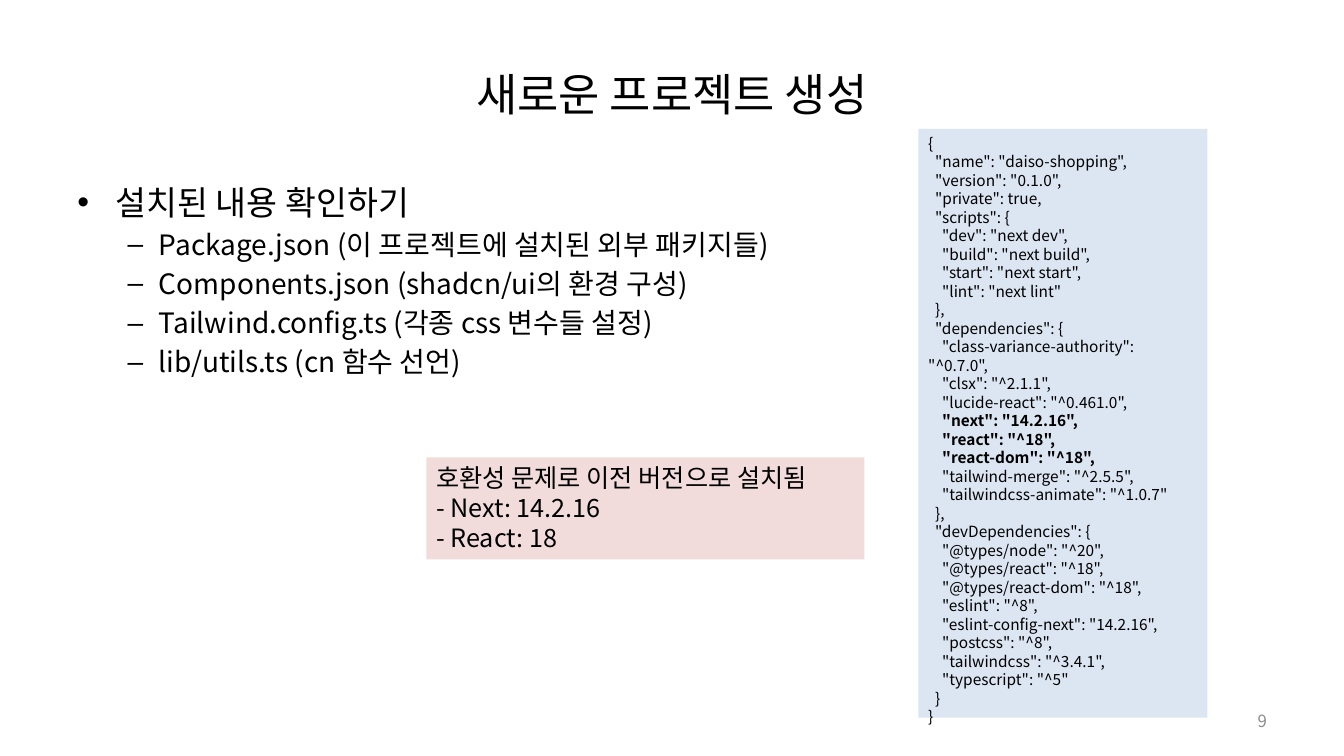
"""Build the slide that reviews the files of a newly created project."""
from lxml.etree import SubElement
from pptx import Presentation
from pptx.dml.color import RGBColor
from pptx.enum.shapes import MSO_SHAPE
from pptx.enum.text import MSO_ANCHOR, MSO_AUTO_SIZE, PP_ALIGN
from pptx.oxml.ns import qn
from pptx.util import Inches, Pt

COLORS = {"text": "000000", "number": "8C8C8C", "code": "DCE6F2", "notice": "F2DCDB"}
FONT = "Noto Sans CJK KR"
LINE_HEIGHT = 1.2
BULLETS = [("•", 24, 0.38, 0.38), ("–", 20, 0.81, 0.31)]

FILES = [
    (0, "설치된 내용 확인하기"),
    (1, "Package.json (이 프로젝트에 설치된 외부 패키지들)"),
    (1, "Components.json (shadcn/ui의 환경 구성)"),
    (1, "Tailwind.config.ts (각종 css 변수들 설정)"),
    (1, "lib/utils.ts (cn 함수 선언)"),
]
NOTICE = ["호환성 문제로 이전 버전으로 설치됨", "- Next: 14.2.16", "- React: 18"]
PINNED = ('"next":', '"react":', '"react-dom":')
PACKAGE_JSON = """{
  "name": "daiso-shopping",
  "version": "0.1.0",
  "private": true,
  "scripts": {
    "dev": "next dev",
    "build": "next build",
    "start": "next start",
    "lint": "next lint"
  },
  "dependencies": {
    "class-variance-authority": "^0.7.0",
    "clsx": "^2.1.1",
    "lucide-react": "^0.461.0",
    "next": "14.2.16",
    "react": "^18",
    "react-dom": "^18",
    "tailwind-merge": "^2.5.5",
    "tailwindcss-animate": "^1.0.7"
  },
  "devDependencies": {
    "@types/node": "^20",
    "@types/react": "^18",
    "@types/react-dom": "^18",
    "eslint": "^8",
    "eslint-config-next": "14.2.16",
    "postcss": "^8",
    "tailwindcss": "^3.4.1",
    "typescript": "^5"
  }
}"""


class SlideBuilder:
    """Hold the style and the slide; areas are percentages of the slide's size."""

    def __init__(self, deck):
        self.width, self.height = deck.slide_width, deck.slide_height
        self.page = deck.slides.add_slide(deck.slide_layouts[1])

    def area(self, left, top, width, height):
        """Turn percentages into slide lengths."""
        return (int(self.width * left / 100), int(self.height * top / 100),
                int(self.width * width / 100), int(self.height * height / 100))

    def place(self, box, area):
        """Move a placeholder to an area."""
        box.left, box.top, box.width, box.height = self.area(*area)

    def frame(self, box, anchor):
        """Prepare the text frame of a box."""
        frame = box.text_frame
        frame.word_wrap = True
        frame.auto_size = MSO_AUTO_SIZE.NONE
        frame.vertical_anchor = anchor
        return frame

    def paragraph(self, frame, index):
        """Return the first paragraph or append another."""
        return frame.add_paragraph() if index else frame.paragraphs[0]

    def add_span(self, para, text, size, align=PP_ALIGN.LEFT, color="text", bold=False):
        """Add one styled run to a paragraph."""
        para.alignment = align
        para.line_spacing = Pt(round(size * LINE_HEIGHT, 1))
        span = para.add_run()
        span.text = text
        span.font.size = Pt(size)
        span.font.bold = bold
        span.font.name = FONT
        span.font.color.rgb = RGBColor.from_string(COLORS[color])
        SubElement(span._r.get_or_add_rPr(), qn("a:ea")).set("typeface", FONT)

    def title(self, text, area):
        """Fill the title placeholder."""
        box = self.page.shapes.title
        self.place(box, area)
        frame = self.frame(box, MSO_ANCHOR.MIDDLE)
        self.add_span(frame.paragraphs[0], text, 32, PP_ALIGN.CENTER)

    def bullets(self, items, area):
        """Fill the body placeholder with a two-level list."""
        box = self.page.placeholders[1]
        self.place(box, area)
        frame = self.frame(box, MSO_ANCHOR.TOP)
        for index, (level, text) in enumerate(items):
            mark, size, margin, hanging = BULLETS[level]
            para = self.paragraph(frame, index)
            para.level = level
            properties = para._p.get_or_add_pPr()
            properties.set("marL", str(Inches(margin)))
            properties.set("indent", str(-Inches(hanging)))
            SubElement(properties, qn("a:buFont")).set("typeface", "Arial")
            SubElement(properties, qn("a:buChar")).set("char", mark)
            para.space_before = Pt(size * 0.2 if index else 0)
            self.add_span(para, text, size)

    def panel(self, lines, area, fill, size, bold_starts=()):
        """Draw a filled rectangle with lines of text."""
        box = self.page.shapes.add_shape(MSO_SHAPE.RECTANGLE, *self.area(*area))
        box.shadow.inherit = False
        box.fill.solid()
        box.fill.fore_color.rgb = RGBColor.from_string(COLORS[fill])
        box.line.fill.background()
        frame = self.frame(box, MSO_ANCHOR.TOP)
        for index, line in enumerate(lines):
            bold = line.strip().startswith(tuple(bold_starts))
            self.add_span(self.paragraph(frame, index), line, size, bold=bold)

    def page_number(self, number, area):
        """Add the page number."""
        box = self.page.shapes.add_textbox(*self.area(*area))
        frame = self.frame(box, MSO_ANCHOR.MIDDLE)
        self.add_span(frame.paragraphs[0], number, 12, PP_ALIGN.RIGHT, "number")


def main():
    """Create and save the deck."""
    deck = Presentation()
    deck.slide_width, deck.slide_height = Inches(13.33), Inches(7.5)
    builder = SlideBuilder(deck)
    builder.title("새로운 프로젝트 생성", (5, 4, 90, 16.67))
    builder.bullets(FILES, (5, 23.33, 90, 66))
    builder.page_number("9", (71.67, 92.67, 23.33, 5.33))
    builder.panel(PACKAGE_JSON.splitlines(), (68.33, 17.05, 21.5, 77.87), "code", 11, PINNED)
    builder.panel(NOTICE, (31.72, 60.5, 32.6, 13.5), "notice", 18)
    deck.save("out.pptx")


if __name__ == "__main__":
    main()
